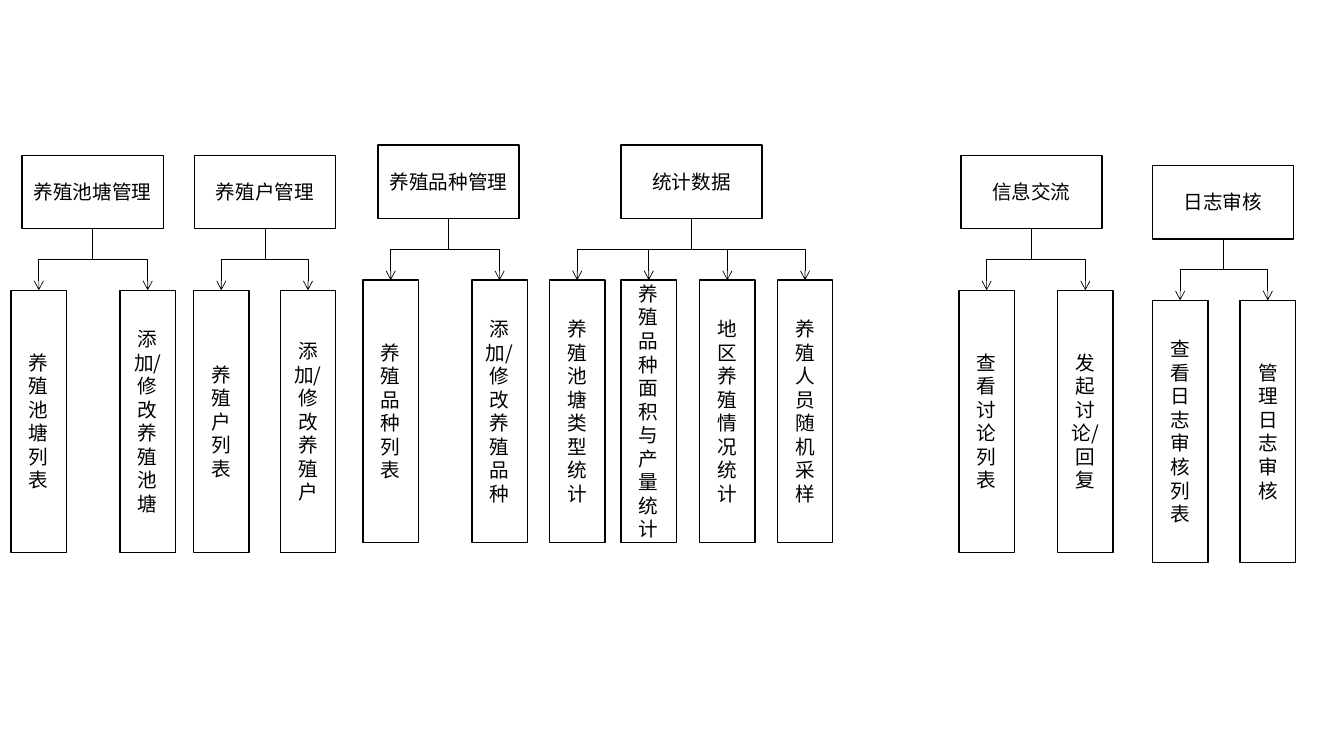
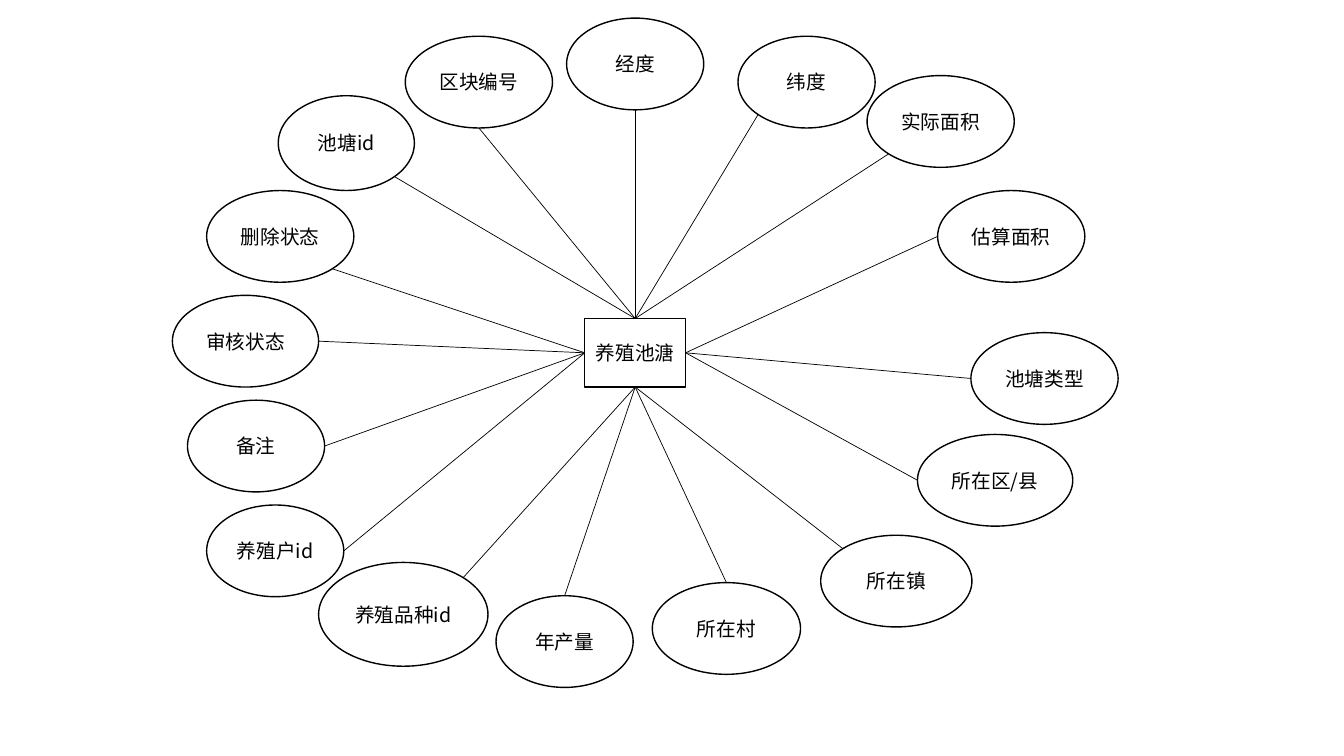
from math import hypot

from lxml.etree import SubElement
from pptx import Presentation
from pptx.dml.color import RGBColor
from pptx.enum.shapes import MSO_CONNECTOR, MSO_SHAPE
from pptx.enum.text import MSO_ANCHOR, PP_ALIGN
from pptx.oxml.ns import qn
from pptx.util import Inches, Pt

COLUMNS, ROWS = 133.3, 75
BLANK_LAYOUT = 6
COLORS = {"ink": "000000", "paper": "FFFFFF"}
FONT = "Noto Sans CJK SC"
FONT_FORMAT = {"name": FONT, "size": Pt(14), "bold": False}
FRAME_FORMAT = {"word_wrap": True, "vertical_anchor": MSO_ANCHOR.MIDDLE}
OUTLINE, CONNECTOR_LINE = Pt(1), Pt(0.5)

MODULE_WIDTH, MODULE_HEIGHT = 14, 7.3
LEAF_WIDTH, LEAF_HEIGHT, LEAF_DROP = 5.5, 26, 13.4
MODULES = [
    ("养殖池塘管理", 2.2, 15.4, [("养殖池塘列表", 1.1), ("添加/修改养殖池塘", 11.9)]),
    ("养殖户管理", 19.3, 15.4, [("养殖户列表", 19.2), ("添加/修改养殖户", 27.8)]),
    ("养殖品种管理", 37.5, 14.4, [("养殖品种列表", 36), ("添加/修改养殖品种", 46.8)]),
    ("统计数据", 61.6, 14.4, [
        ("养殖池塘类型统计", 54.5), ("养殖品种面积与产量统计", 61.6),
        ("地区养殖情况统计", 69.4), ("养殖人员随机采样", 77.1)]),
    ("信息交流", 95.3, 15.4, [("查看讨论列表", 95.1), ("发起讨论/回复", 104.9)]),
    ("日志审核", 114.3, 16.4, [("查看日志审核列表", 114.3), ("管理日志审核", 123)]),
]

DIRECTIONS = {
    "top": (0, -1), "bottom": (0, 1), "left": (-1, 0), "right": (1, 0),
    "top left": (-1, -1), "top right": (1, -1),
    "bottom left": (-1, 1), "bottom right": (1, 1),
}
ENTITY = ("养殖池溏", (58, 31.6, 10, 6.8))
ATTRIBUTES = [
    ("池塘id", (27.6, 9.5, 13.5, 9.4), "bottom right", "top"),
    ("区块编号", (40.2, 3.6, 14.6, 9.1), "bottom", "top"),
    ("经度", (56.2, 1.8, 13.6, 9.1), "bottom", "top"),
    ("纬度", (73.2, 3.6, 13.6, 9.1), "bottom left", "top"),
    ("实际面积", (86, 7.5, 14.6, 9.1), "bottom left", "top"),
    ("估算面积", (93, 18.9, 14.6, 9.1), "left", "right"),
    ("池塘类型", (96.3, 33, 14.6, 9.1), "left", "right"),
    ("所在区/县", (91, 43.1, 15.4, 9.1), "left", "right"),
    ("所在镇", (81.4, 53.1, 15, 9.1), "top left", "bottom"),
    ("所在村", (64.7, 57.8, 14.7, 9.1), "top", "bottom"),
    ("年产量", (49.2, 59.1, 13.6, 9.1), "top", "bottom"),
    ("养殖品种id", (31.6, 55.8, 16.8, 10.3), "top right", "bottom"),
    ("养殖户id", (20.5, 50.1, 13.6, 9.1), "right", "left"),
    ("备注", (18.6, 39.7, 13.6, 9.1), "right", "left"),
    ("审核状态", (17.1, 29.3, 14.5, 9.1), "right", "left"),
    ("删除状态", (20.5, 18.9, 14.6, 9.1), "bottom right", "left"),
]


def grid(*cells):
    """Turn grid columns or rows into lengths, ten cells to the inch."""
    return [Inches(cell / 10) for cell in cells]


def color(name):
    """Look up a named colour."""
    return RGBColor.from_string(COLORS[name])


def apply_format(target, values):
    """Set every attribute in a dict of format values."""
    for name, value in values.items():
        setattr(target, name, value)


def add_node(slide, label, box, geometry=MSO_SHAPE.RECTANGLE):
    """Add an outlined shape with a centred label."""
    shape = slide.shapes.add_shape(geometry, *grid(*box))
    shape.shadow.inherit = False
    shape.fill.solid()
    shape.fill.fore_color.rgb = color("paper")
    shape.line.color.rgb = color("ink")
    shape.line.width = OUTLINE
    apply_format(shape.text_frame, FRAME_FORMAT)
    paragraph = shape.text_frame.paragraphs[0]
    paragraph.alignment = PP_ALIGN.CENTER
    run = paragraph.add_run()
    run.text = label
    apply_format(run.font, FONT_FORMAT)
    run.font.color.rgb = color("ink")
    SubElement(run.font._element, qn("a:ea"), typeface=FONT)


def add_line(slide, start, end, kind=MSO_CONNECTOR.STRAIGHT):
    """Add a thin connector without a shadow."""
    connector = slide.shapes.add_connector(kind, *grid(*start, *end))
    connector.line.color.rgb = color("ink")
    connector.line.width = CONNECTOR_LINE
    SubElement(connector._element.spPr, qn("a:effectLst"))
    return connector


def add_elbow_arrow(slide, start, end):
    """Add an arrow that runs down, across and down, as a quarter-turned elbow."""
    across, down = end[0] - start[0], end[1] - start[1]
    center_x, center_y = start[0] + across / 2, start[1] + down / 2
    connector = add_line(
        slide,
        (center_x - down / 2, center_y + across / 2),
        (center_x + down / 2, center_y - across / 2),
        MSO_CONNECTOR.ELBOW,
    )
    connector._element.spPr.find(qn("a:xfrm")).set("rot", "5400000")
    SubElement(connector.line._get_or_add_ln(), qn("a:tailEnd"), type="arrow")


def edge_point(box, side):
    """Find the point on a shape's outline in the given direction."""
    left, top, width, height = box
    across, down = DIRECTIONS[side]
    length = hypot(across, down)
    return (left + width / 2 * (1 + across / length),
            top + height / 2 * (1 + down / length))


def add_module(slide, label, left, top, leaves):
    """Add a module box with arrows down to its functions."""
    module_box = (left, top, MODULE_WIDTH, MODULE_HEIGHT)
    add_node(slide, label, module_box)
    for leaf_label, leaf_left in leaves:
        leaf_box = (leaf_left, top + LEAF_DROP, LEAF_WIDTH, LEAF_HEIGHT)
        add_node(slide, leaf_label, leaf_box)
        add_elbow_arrow(slide, edge_point(module_box, "bottom"),
                        edge_point(leaf_box, "top"))


def build_modules(slide):
    """Draw the function tree of every module."""
    for module in MODULES:
        add_module(slide, *module)


def build_entity(slide):
    """Draw the entity with its ring of attributes."""
    entity_label, entity_box = ENTITY
    add_node(slide, entity_label, entity_box)
    for label, box, side, entity_side in ATTRIBUTES:
        add_node(slide, label, box, MSO_SHAPE.OVAL)
        add_line(slide, edge_point(box, side), edge_point(entity_box, entity_side))


def main():
    """Build and save the presentation."""
    presentation = Presentation()
    presentation.slide_width, presentation.slide_height = grid(COLUMNS, ROWS)
    for build in (build_modules, build_entity):
        build(presentation.slides.add_slide(presentation.slide_layouts[BLANK_LAYOUT]))
    presentation.save("out.pptx")


main()
